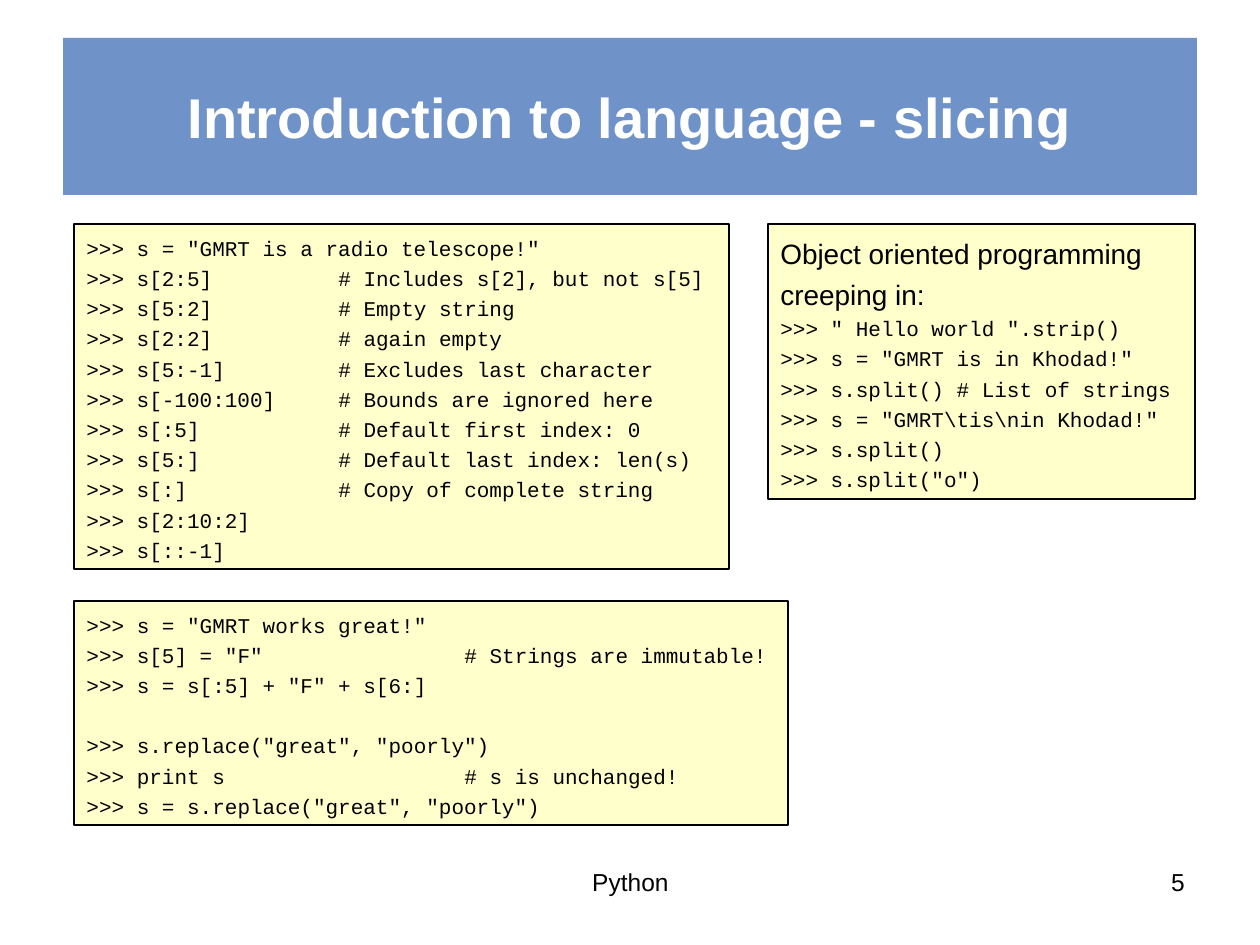
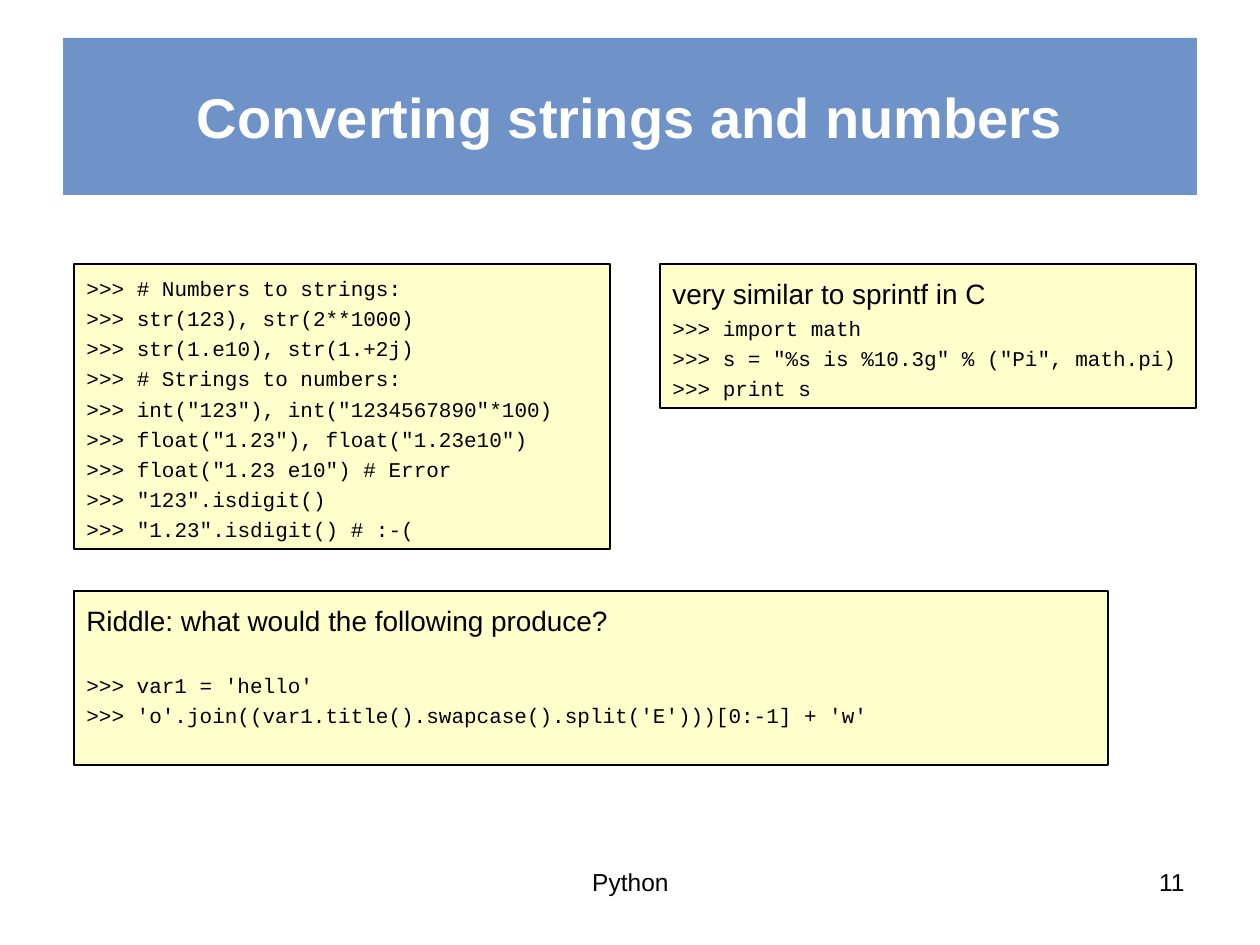
from lxml import etree
from pptx import Presentation
from pptx import util as u
from pptx.dml import color
from pptx.enum import shapes, text
from pptx.oxml import ns

EMU_PER_PX = 914400 / 126
BAND, CREAM, BLACK, WHITE = "4775B9", "FFFFCC", "000000", "FFFFFF"
BAND_OPACITY = 78
LINE_SPACING = 1.2
BLANK_LINE = 17.25
TITLE_STYLE = {"size": u.Pt(32), "name": "Arial", "bold": True}
PROSE_STYLE = {"size": u.Pt(16), "name": "Arial"}
CODE_STYLE = {"size": u.Pt(12), "name": "Courier New"}
FOOTER_STYLE = {"size": u.Pt(14), "name": "Arial"}
TITLE_FRAME = (63, 38, 1134, 157)
FOOTER_FRAME = (431, 861, 399, 66)
NUMBER_FRAME = (903, 861, 294, 66)

SLICING = [
    '>>> s = "GMRT is a radio telescope!"',
    ">>> s[2:5] \t# Includes s[2], but not s[5]",
    ">>> s[5:2] \t# Empty string",
    ">>> s[2:2] \t# again empty",
    ">>> s[5:-1] \t# Excludes last character",
    ">>> s[-100:100] \t# Bounds are ignored here",
    ">>> s[:5] \t# Default first index: 0",
    ">>> s[5:] \t# Default last index: len(s)",
    ">>> s[:] \t\t# Copy of complete string",
    ">>> s[2:10:2]",
    ">>> s[::-1]",
]
IMMUTABLE = [
    '>>> s = "GMRT works great!"',
    '>>> s[5] = "F" \t\t# Strings are immutable!',
    '>>> s = s[:5] + "F" + s[6:]',
    "",
    '>>> s.replace("great", "poorly")',
    ">>> print s \t\t# s is unchanged!",
    '>>> s = s.replace("great", "poorly")',
]
METHODS = [
    "Object oriented programming creeping in:",
    '>>> " Hello world ".strip()',
    '>>> s = "GMRT is in Khodad!"',
    ">>> s.split() # List of strings",
    r'>>> s = "GMRT\tis\nin Khodad!"',
    ">>> s.split()",
    '>>> s.split("o")',
]
CONVERSIONS = [
    ">>> # Numbers to strings:",
    ">>> str(123), str(2**1000)",
    ">>> str(1.e10), str(1.+2j)",
    ">>> # Strings to numbers:",
    '>>> int("123"), int("1234567890"*100)',
    '>>> float("1.23"), float("1.23e10")',
    '>>> float("1.23 e10") # Error',
    '>>> "123".isdigit()',
    '>>> "1.23".isdigit() # :-(',
]
FORMATTING = [
    "very similar to sprintf in C",
    ">>> import math",
    '>>> s = "%s is %10.3g" % ("Pi", math.pi)',
    ">>> print s",
]
RIDDLE = [
    "Riddle: what would the following produce?",
    "",
    ">>> var1 = 'hello'",
    ">>> 'o'.join((var1.title().swapcase().split('E')))[0:-1] + 'w'",
]
PAGES = [
    ("Introduction to language - slicing", "5", [
        ((74, 224, 655, 345), SLICING),
        ((74, 601, 714, 224), IMMUTABLE),
        ((768, 224, 427, 275), METHODS),
    ]),
    ("Converting strings and numbers", "11", [
        ((74, 264, 536, 285), CONVERSIONS),
        ((660, 264, 536, 144), FORMATTING),
        ((74, 591, 1034, 174), RIDDLE),
    ]),
]


def px(*lengths):
    return [u.Emu(round(length * EMU_PER_PX)) for length in lengths]


def paint(target, hex_colour):
    if hasattr(target, "solid"):
        target.solid()
        target = target.fore_color
    else:
        target = target.color
    target.rgb = color.RGBColor.from_string(hex_colour)


def apply(target, values):
    for name, value in values.items():
        setattr(target, name, value)


def write(para, content, style, hex_colour=BLACK):
    span = para.add_run()
    span.text = content
    apply(span.font, style)
    paint(span.font, hex_colour)


def add_inch_tabs(para):
    tabs = etree.SubElement(para._p.get_or_add_pPr(), ns.qn("a:tabLst"))
    for inch in range(1, 8):
        etree.SubElement(tabs, ns.qn("a:tab"), pos=str(u.Inches(inch)), algn="l")


def set_title(page, content):
    title = page.shapes.title
    apply(title, dict(zip(("left", "top", "width", "height"), px(*TITLE_FRAME))))
    paint(title.fill, BAND)
    shade = title._element.spPr.find(".//" + ns.qn("a:srgbClr"))
    etree.SubElement(shade, ns.qn("a:alpha"), val=str(BAND_OPACITY * 1000))
    apply(title.text_frame, {"vertical_anchor": text.MSO_ANCHOR.MIDDLE,
                             "auto_size": text.MSO_AUTO_SIZE.NONE, "word_wrap": True})
    para = title.text_frame.paragraphs[0]
    para.alignment = text.PP_ALIGN.CENTER
    write(para, content, TITLE_STYLE, WHITE)


def add_panel(page, frame, lines):
    box = page.shapes.add_shape(shapes.MSO_SHAPE.RECTANGLE, *px(*frame))
    box.shadow.inherit = False
    paint(box.fill, CREAM)
    paint(box.line, BLACK)
    box.line.width = u.Pt(0.75)
    body = box.text_frame
    apply(body, {"word_wrap": True, "vertical_anchor": text.MSO_ANCHOR.TOP})
    para, gap = body.paragraphs[0], 0
    for line in lines:
        if not line:
            gap = BLANK_LINE
            continue
        if para.runs:
            para = body.add_paragraph()
        if "\t" in line:
            add_inch_tabs(para)
        apply(para, {"alignment": text.PP_ALIGN.LEFT, "line_spacing": LINE_SPACING})
        if gap:
            para.space_before = u.Pt(gap)
            gap = 0
        write(para, line, CODE_STYLE if line.startswith(">>>") else PROSE_STYLE)


def add_footer(page, frame, content, alignment):
    box = page.shapes.add_textbox(*px(*frame))
    box.text_frame.word_wrap = True
    para = box.text_frame.paragraphs[0]
    para.alignment = alignment
    write(para, content, FOOTER_STYLE)


def main():
    deck = Presentation()
    deck.slide_width, deck.slide_height = px(1260, 945)
    for title, number, panels in PAGES:
        page = deck.slides.add_slide(deck.slide_layouts[5])
        set_title(page, title)
        for frame, lines in panels:
            add_panel(page, frame, lines)
        add_footer(page, NUMBER_FRAME, number, text.PP_ALIGN.RIGHT)
        add_footer(page, FOOTER_FRAME, "Python", text.PP_ALIGN.CENTER)
    deck.save("out.pptx")


if __name__ == "__main__":
    main()
